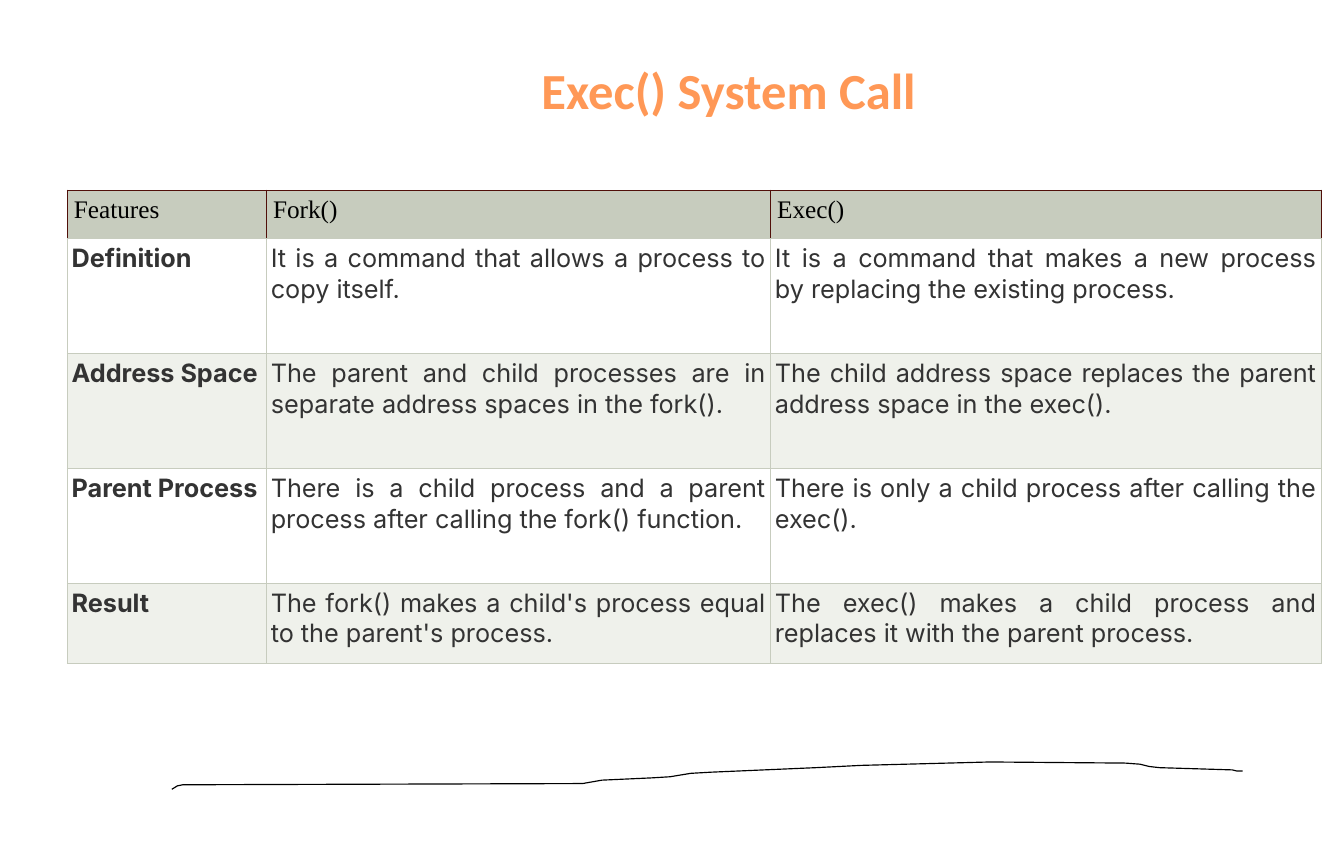
import pptx
import pptx.dml.color
import pptx.enum.text
import pptx.oxml
import pptx.oxml.ns
import pptx.util
from pptx.util import Inches

ALIGN = pptx.enum.text.PP_ALIGN
SAGE, PALE_SAGE, MAROON, WHITE = "C7CCBE", "EFF1EB", "500F09", "FFFFFF"


def color(hex_code):
    return pptx.dml.color.RGBColor.from_string(hex_code)


def add_border(cell, side, hex_code):
    """Draw a thin line on one side of the cell: L, R, T or B."""
    cell._tc.get_or_add_tcPr().append(pptx.oxml.parse_xml(
        f'<a:ln{side} {pptx.oxml.ns.nsdecls("a")} w="7620"><a:solidFill>'
        f'<a:srgbClr val="{hex_code}"/></a:solidFill></a:ln{side}>'))


presentation = pptx.Presentation()
presentation.slide_width = pptx.util.Cm(30)
presentation.slide_height = Inches(7.5)
slide = presentation.slides.add_slide(presentation.slide_layouts[5])

# Title, shifted right of centre by its left margin
title = slide.shapes.title
title.left, title.top = Inches(0.69), Inches(0.25)
title.width, title.height = Inches(10.63), Inches(0.8)
title_frame = title.text_frame
title_frame.auto_size = pptx.enum.text.MSO_AUTO_SIZE.NONE
title_frame.vertical_anchor = pptx.enum.text.MSO_ANCHOR.BOTTOM
title_frame.margin_left, title_frame.margin_right = Inches(0.9), Inches(0.1)
title_frame.margin_top = title_frame.margin_bottom = 0
paragraph = title_frame.paragraphs[0]
paragraph.alignment = ALIGN.CENTER
run = paragraph.add_run()
run.text = "Exec() System Call"
run.font.name = "Calibri"
run.font.size = pptx.util.Pt(32)
run.font.bold = True
run.font.color.rgb = color("FF9856")

# Hand-drawn line at the foot, in hundredths of an inch
wave_points = [
    (156, 691), (161, 690), (176, 690), (512, 689), (529, 686), (573, 684),
    (589, 683), (607, 680), (625, 679), (717, 675), (757, 673), (870, 670),
    (989, 671), (1002, 672), (1010, 674), (1019, 675), (1083, 677),
    (1087, 678), (1092, 678)]
wave_builder = slide.shapes.build_freeform(151, 694, scale=Inches(0.01))
wave_builder.add_line_segments(wave_points, close=False)
wave = wave_builder.convert_to_shape()
wave.shadow.inherit = False
wave.fill.background()
wave.line.color.rgb = color("000000")
wave.line.width = pptx.util.Pt(0.75)

# Comparison table
rows = [
    ("Features", "Fork()", "Exec()"),
    ("Definition",
     "It is a command that allows a process to copy itself.",
     "It is a command that makes a new process by replacing the existing process."),
    ("Address Space",
     "The parent and child processes are in separate address spaces in the fork().",
     "The child address space replaces the parent address space in the exec()."),
    ("Parent Process",
     "There is a child process and a parent process after calling the fork() function.",
     "There is only a child process after calling the exec()."),
    ("Result",
     "The fork() makes a child's process equal to the parent's process.",
     "The exec() makes a child process and replaces it with the parent process."),
]
column_widths = [1.75, 4.43, 4.84]
row_heights = [0.43, 1.01, 1.01, 1.01, 0.7]
table = slide.shapes.add_table(
    len(rows), len(column_widths), Inches(0.59), Inches(1.67),
    Inches(sum(column_widths)), Inches(sum(row_heights))).table
table.first_row = table.horz_banding = False
for column, width in zip(table.columns, column_widths):
    column.width = Inches(width)

for row_index, (texts, height) in enumerate(zip(rows, row_heights)):
    table.rows[row_index].height = Inches(height)
    is_header = row_index == 0
    if is_header:
        fill = SAGE
    else:
        fill = WHITE if row_index % 2 else PALE_SAGE
    for column_index, text in enumerate(texts):
        cell = table.cell(row_index, column_index)
        for side in "LRTB":
            add_border(cell, side, MAROON if is_header and side != "B" else SAGE)
        cell.fill.solid()
        cell.fill.fore_color.rgb = color(fill)
        cell.margin_left = cell.margin_right = Inches(0.06 if is_header else 0.04)
        cell.margin_top = cell.margin_bottom = Inches(0.05 if is_header else 0.04)
        paragraph = cell.text_frame.paragraphs[0]
        paragraph.alignment = ALIGN.LEFT if is_header else ALIGN.JUSTIFY
        run = paragraph.add_run()
        run.text = text
        run.font.name = "Times New Roman" if is_header else "Inter"
        run.font.size = pptx.util.Pt(16)
        run.font.bold = not is_header and column_index == 0
        run.font.color.rgb = color("000000" if is_header else "333333")

presentation.save("out.pptx")
